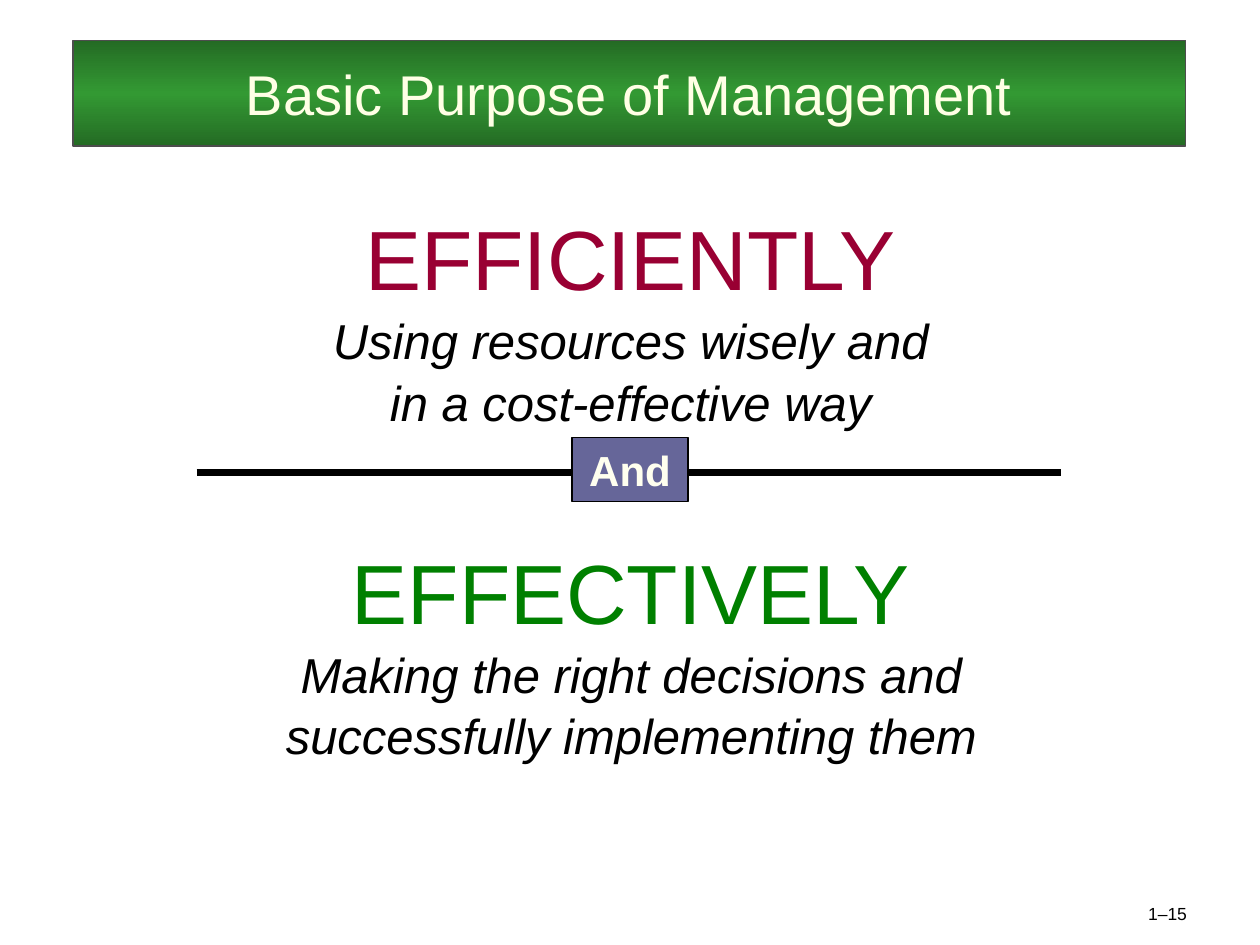
from copy import deepcopy
from dataclasses import dataclass

from pptx import Presentation
from pptx.dml.color import RGBColor
from pptx.enum.shapes import MSO_CONNECTOR, MSO_SHAPE
from pptx.enum.text import MSO_ANCHOR, MSO_AUTO_SIZE, PP_ALIGN
from pptx.oxml.ns import qn
from pptx.util import Inches, Pt

CENTER, RIGHT = PP_ALIGN.CENTER, PP_ALIGN.RIGHT
TOP, MIDDLE, BOTTOM = MSO_ANCHOR.TOP, MSO_ANCHOR.MIDDLE, MSO_ANCHOR.BOTTOM

BLACK = RGBColor(0x00, 0x00, 0x00)
CREAM = RGBColor(0xFF, 0xFF, 0xE5)
IVORY = RGBColor(0xFF, 0xFF, 0xEF)
GREEN = RGBColor(0x33, 0x99, 0x33)
DARK_GREEN = RGBColor(0x24, 0x6B, 0x24)
GRAY = RGBColor(0x4D, 0x4D, 0x4D)
SLATE = RGBColor(0x66, 0x66, 0x99)
CRIMSON = RGBColor(0x99, 0x00, 0x33)
LEAF = RGBColor(0x00, 0x80, 0x00)


@dataclass
class Purpose:
    heading: str
    lines: list[str]
    color: RGBColor


EFFICIENCY = Purpose("EFFICIENTLY", ["Using resources wisely and",
                                     "in a cost-effective way"], CRIMSON)
EFFECTIVENESS = Purpose("EFFECTIVELY", ["Making the right decisions and",
                                        "successfully implementing them"], LEAF)


def place(sp, left: float, top: float, width: float, height: float) -> None:
    sp.left, sp.top = Inches(left), Inches(top)
    sp.width, sp.height = Inches(width), Inches(height)


def set_frame(sp, anchor=MIDDLE, wrap: bool = True, inset_x: float = 0.1,
              inset_y: float = 0.05):
    tf = sp.text_frame
    tf.auto_size = MSO_AUTO_SIZE.NONE
    tf.word_wrap = wrap
    tf.vertical_anchor = anchor
    tf.margin_left = tf.margin_right = Inches(inset_x)
    tf.margin_top = tf.margin_bottom = Inches(inset_y)
    return tf.paragraphs[0]


def add_text(p, text: str, size: int, color: RGBColor, align=CENTER,
             bold: bool = False, italic: bool = False) -> None:
    p.alignment = align
    r = p.add_run()
    r.text = text
    r.font.name = "Arial"
    r.font.size = Pt(size)
    r.font.bold, r.font.italic = bold, italic
    r.font.color.rgb = color


def fill_purpose(sp, purpose: Purpose, wrap: bool) -> None:
    p = set_frame(sp, TOP, wrap)
    p.space_before = Pt(0)
    p.line_spacing = 1.05
    add_text(p, purpose.heading, 48, purpose.color)
    for line in purpose.lines:
        p.add_line_break()
        add_text(p, line, 28, BLACK, italic=True)


def set_outline(sp, color: RGBColor, width: float) -> None:
    sp.line.color.rgb = color
    sp.line.width = Pt(width)


def fill_banner(sp) -> None:
    sp.fill.gradient()
    sp.fill.gradient_angle = 90
    stop_list = sp.fill.gradient_stops
    gs_list = sp.element.spPr.find(".//" + qn("a:gsLst"))
    gs_list.append(deepcopy(gs_list[-1]))
    stop_list = sp.fill.gradient_stops
    for stop, position, color in zip(stop_list, (0, 0.5, 1),
                                     (DARK_GREEN, GREEN, DARK_GREEN)):
        stop.position = position
        stop.color.rgb = color


def main() -> None:
    prs = Presentation()
    prs.slide_width, prs.slide_height = Inches(10), Inches(7.5)
    s = prs.slides.add_slide(prs.slide_layouts[0])

    # Title banner
    title = s.shapes.title
    place(title, 0.58, 0.32, 8.83, 0.84)
    fill_banner(title)
    set_outline(title, GRAY, 0.75)
    add_text(set_frame(title, inset_y=0.15), "Basic Purpose of Management",
             32, CREAM)

    # The two purposes
    subtitle = s.placeholders[1]
    place(subtitle, 2.32, 1.55, 5.37, 1.75)
    fill_purpose(subtitle, EFFICIENCY, wrap=True)
    box = s.shapes.add_textbox(Inches(2.16), Inches(4.2), Inches(5.7), Inches(1.83))
    fill_purpose(box, EFFECTIVENESS, wrap=False)

    # Divider with its label
    divider = s.shapes.add_connector(MSO_CONNECTOR.STRAIGHT, Inches(1.56),
                                     Inches(3.75), Inches(8.42), Inches(3.75))
    set_outline(divider, BLACK, 4)
    sp_pr = divider.element.spPr
    sp_pr.append(sp_pr.makeelement(qn("a:effectLst"), {}))

    label = s.shapes.add_shape(MSO_SHAPE.RECTANGLE, Inches(4.54), Inches(3.47),
                               Inches(0.92), Inches(0.51))
    label.shadow.inherit = False
    label.fill.solid()
    label.fill.fore_color.rgb = SLATE
    set_outline(label, BLACK, 0.75)
    add_text(set_frame(label, wrap=False), "And", 24, IVORY, bold=True)

    # Page number
    page = s.shapes.add_textbox(Inches(8.17), Inches(7.08), Inches(1.25), Inches(0.25))
    add_text(set_frame(page, BOTTOM, inset_x=0, inset_y=0), "1–15", 10, BLACK, RIGHT)

    prs.save("out.pptx")


if __name__ == "__main__":
    main()
